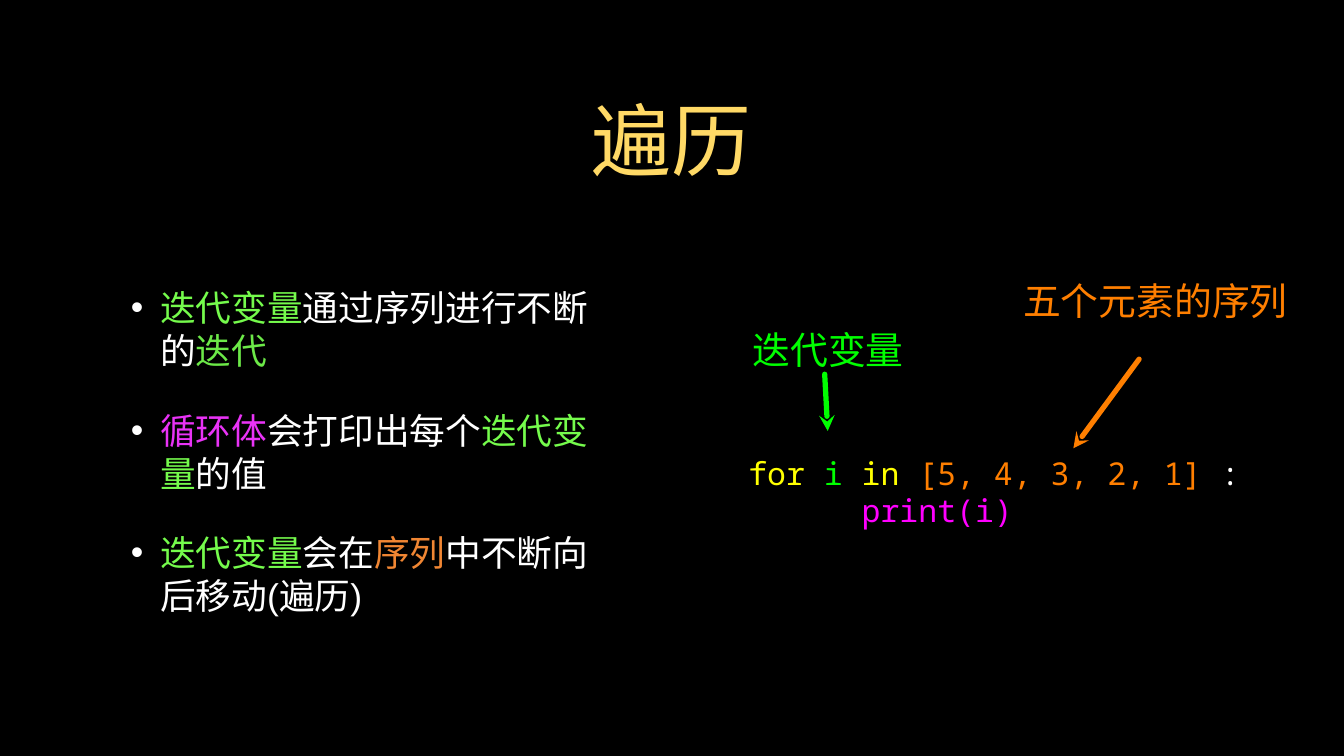
from lxml import etree
from pptx import Presentation
from pptx.dml.color import RGBColor
from pptx.enum.shapes import MSO_CONNECTOR as Connector
from pptx.enum.text import MSO_ANCHOR as Anchor, MSO_AUTO_SIZE as AutoSize, PP_ALIGN as Align
from pptx.oxml.ns import qn
from pptx.util import Inches, Pt

COLORS = {
    "background": "000000", "white": "FFFFFF", "title": "FFD966",
    "lime": "75FB4C", "leaf": "6CE948", "violet": "E933F6", "amber": "F08633",
    "yellow": "FFFF00", "green": "00FF00", "orange": "FF7F00", "magenta": "FF00FF",
}


def rgb(name):
    return RGBColor.from_string(COLORS[name])


class SlideBuilder:
    """Holds the fonts and the current slide."""

    text_font = "Arial"
    code_font = "Noto Sans Mono"

    def __init__(self, slide):
        self.slide = slide
        slide.background.fill.solid()
        slide.background.fill.fore_color.rgb = rgb("background")

    def place(self, shape, box, inset=0, auto_size=AutoSize.NONE):
        """Move a text shape to box and return its prepared text frame."""
        shape.left, shape.top, shape.width, shape.height = map(Inches, box)
        frame = shape.text_frame
        frame.word_wrap = True
        frame.auto_size = auto_size
        frame.vertical_anchor = Anchor.MIDDLE
        frame.margin_left = frame.margin_right = Inches(inset)
        frame.margin_top = frame.margin_bottom = Inches(inset)
        return frame

    def add_lines(self, frame, lines, size, font=text_font, align=Align.LEFT):
        """Fill the frame with lines, each a list of (text, color) runs."""
        for index, line in enumerate(lines):
            paragraph = frame.add_paragraph() if index else frame.paragraphs[0]
            paragraph.alignment = align
            paragraph.space_before = Pt(0)
            paragraph.font.name = font
            paragraph.font.size = Pt(size)
            for text, color in line:
                run = paragraph.add_run()
                run.text = text
                run.font.color.rgb = rgb(color)
        return frame.paragraphs

    def title(self, text, box):
        frame = self.place(self.slide.shapes.title, box, inset=0.04)
        self.add_lines(frame, [[(text, "title")]], 76, align=Align.CENTER)

    def bullets(self, lines, box):
        frame = self.place(self.slide.placeholders[1], box, inset=0.04)
        for index, paragraph in enumerate(self.add_lines(frame, lines, 34)):
            paragraph.space_before = Pt(35 if index else 0)
            properties = paragraph._p.get_or_add_pPr()
            properties.set("marL", str(Inches(0.82)))
            properties.set("indent", str(Inches(-0.39)))
            bullet_color = etree.Element(qn("a:buClr"))
            etree.SubElement(bullet_color, qn("a:srgbClr"), val=COLORS["white"])
            bullet = etree.Element(qn("a:buChar"), char="•")
            for element in (bullet_color, bullet):
                properties.find(qn("a:defRPr")).addprevious(element)

    def text_box(self, box):
        shape = self.slide.shapes.add_textbox(0, 0, 0, 0)
        return self.place(shape, box, auto_size=AutoSize.SHAPE_TO_FIT_TEXT)

    def label(self, text, color, box):
        self.add_lines(self.text_box(box), [[(text, color)]], 36, align=Align.CENTER)

    def code(self, lines, box):
        """Add a statement whose later lines are indented as its body."""
        paragraphs = self.add_lines(self.text_box(box), lines, 30, self.code_font)
        for paragraph in paragraphs[1:]:
            paragraph._p.get_or_add_pPr().set("marL", str(Inches(1.5)))

    def arrow(self, start, tip, color):
        connector = self.slide.shapes.add_connector(
            Connector.STRAIGHT, *map(Inches, start + tip))
        connector.line.color.rgb = rgb(color)
        connector.line.width = Pt(5)
        line = connector._element.spPr.find(qn("a:ln"))
        line.set("cap", "rnd")
        etree.SubElement(line, qn("a:round"))
        etree.SubElement(line, qn("a:tailEnd"), type="stealth")
        etree.SubElement(connector._element.spPr, qn("a:effectLst"))


def main():
    presentation = Presentation()
    presentation.slide_width = Inches(17.78)
    presentation.slide_height = Inches(10)
    builder = SlideBuilder(presentation.slides.add_slide(presentation.slide_layouts[1]))

    builder.title("遍历", (1.26, 0.89, 15.24, 1.88))
    builder.bullets([
        [("迭代变量", "lime"), ("通过序列进行不断的", "white"), ("迭代", "leaf")],
        [("循环体", "violet"), ("会打印出每个", "white"), ("迭代变量", "lime"),
         ("的值", "white")],
        [("迭代变量", "lime"), ("会在", "white"), ("序列", "amber"),
         ("中不断向后移动(遍历)", "white")],
    ], (1.26, 2.85, 6.98, 6.24))

    builder.code([
        [("for ", "yellow"), ("i ", "green"), ("in ", "yellow"),
         ("[5, 4, 3, 2, 1] ", "orange"), (":", "white")],
        [("print(i)", "magenta")],
    ], (9.9, 6, 6.96, 1))
    builder.label("迭代变量", "green", (9.07, 4.27, 3.77, 0.69))
    builder.label("五个元素的序列", "orange", (13.11, 3.63, 4.35, 0.69))
    builder.arrow((10.91, 4.95), (10.95, 5.7), "green")
    builder.arrow((15.07, 4.75), (14.2, 5.93), "orange")

    presentation.save("out.pptx")


if __name__ == "__main__":
    main()
